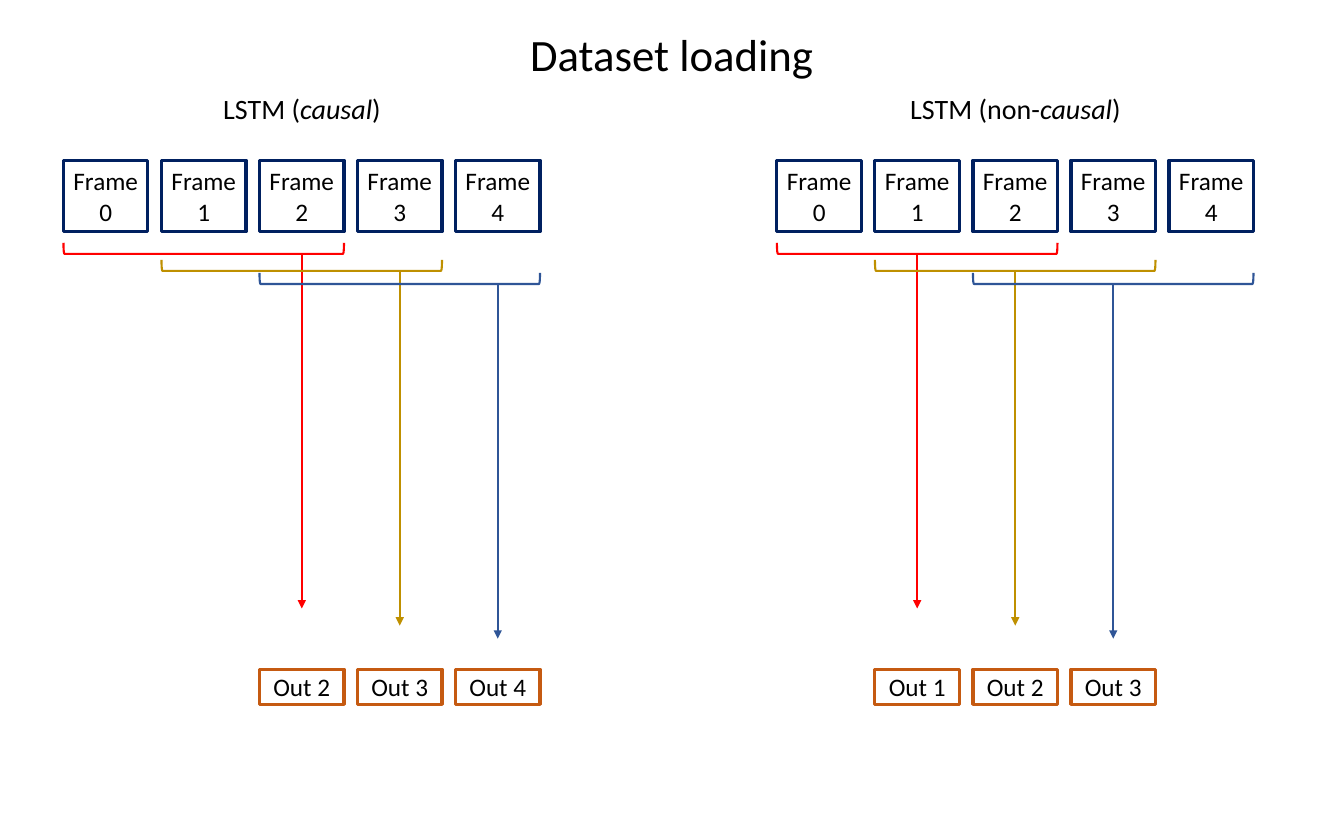
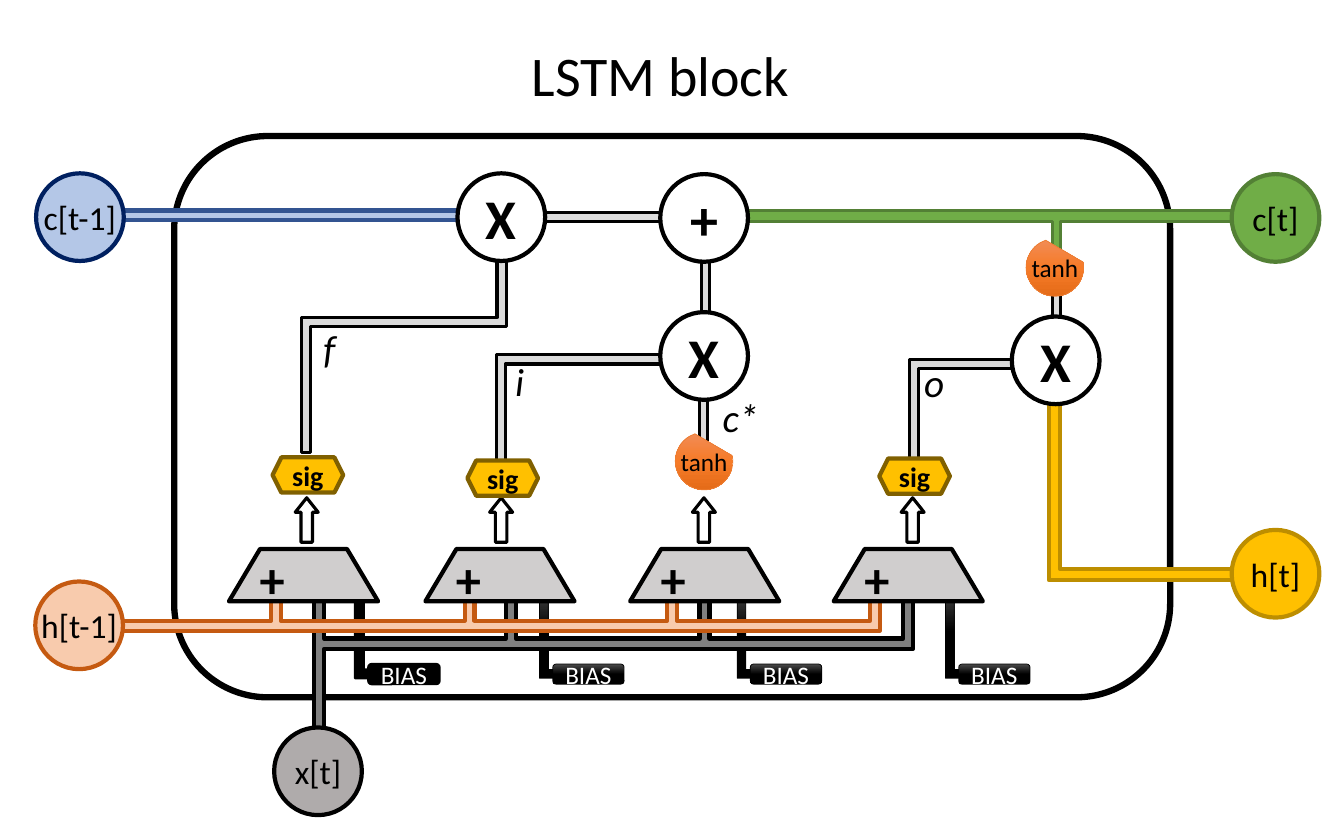
from copy import deepcopy

from lxml.etree import SubElement
from pptx import Presentation
from pptx.dml.color import RGBColor
from pptx.enum.shapes import MSO_CONNECTOR, MSO_SHAPE as Preset
from pptx.enum.text import MSO_ANCHOR, MSO_AUTO_SIZE, PP_ALIGN
from pptx.oxml.ns import qn
from pptx.util import Cm, Pt

FONT = "Calibri"
COLOURS = {
    "black": "000000", "white": "FFFFFF", "navy": "002060", "rust": "C55A11",
    "red": "FF0000", "ochre": "BF9000", "blue": "2F5597",
    "pale blue": "B4C7E7", "dark blue": "325491", "pale orange": "F8CBAD", "orange": "ED7D31",
    "green": "70AD47", "dark green": "538035", "gold": "FFC000", "dark gold": "BD8E00",
    "brown": "806000", "pipe": "DBDBDB", "grey": "808080", "warm grey": "AFABAB",
    "gate": "D0CECE", "charcoal": "4B4B4B",
    "tanh top": "F18C57", "tanh middle": "F67B28", "tanh bottom": "E56C19",
}
BIAS_FILL = ("charcoal", "black", "black")
TANH_FILL = ("tanh top", "tanh middle", "tanh bottom")

# Dataset loading: all lengths in centimetres
LOADERS = [
    # left edge, heading runs (text, italic), first output frame
    (1.6, [("LSTM (", False), ("causal", True), (")", False)], 2),
    (19.58, [("LSTM (non-", False), ("causal", True), (")", False)], 1),
]
WINDOWS = [("red", 6.4), ("ochre", 6.83), ("blue", 7.16)]  # colour, bracket bottom
FRAME_COUNT, WINDOW_FRAMES = 5, 3
FRAME_PITCH, FRAME_WIDTH = 2.47, 2.13
BRACKET_DEPTH, ARROW_LENGTH = 0.28, 8.94

# LSTM block
STRAIGHT_PIPES = [
    # left, top, width, height, fill, line, line width
    (2.82, 5.31, 10.31, 0.23, "pale blue", "dark blue", 3),
    (26.52, 6.68, 0.2, 2.92, "pipe", "black", 2.25),
    (17.68, 6.2, 0.2, 2.39, "pipe", "black", 2.25),
    (12.61, 5.35, 5.13, 0.23, "pipe", "black", 2.25),
    (17.63, 8.79, 0.2, 2.39, "pipe", "black", 2.25),
]
BENT_PIPES = [
    # centre line, thickness, fill, line, line width
    ([(26.58, 8.74), (26.58, 14.49), (32.31, 14.49)], 0.28, "gold", "dark gold", 3),
    ([(23.04, 11.96), (23.04, 9.18), (27, 9.18)], 0.23, "pipe", "black", 2.25),
    ([(12.62, 11.86), (12.62, 9.06), (17.78, 9.06)], 0.23, "pipe", "black", 2.25),
    ([(12.64, 6.58), (12.64, 8.12), (7.72, 8.12), (7.72, 11.4)], 0.23, "pipe", "black", 2.25),
]
BRANCHED_PIPES = [
    # rail (left, top, right, bottom), branches (left, width, tip), fill, line, line width
    ((18.64, 5.31, 32.39, 5.59), [(26.52, 0.2, 6.55)], "green", "dark green", 2.25),
    ((7.92, 16.1, 23.01, 16.36),
     [(left, 0.25, 15.14) for left in (7.92, 12.75, 17.63, 22.76)] + [(7.92, 0.25, 18.9)],
     "grey", "black", 3),
    ((1.96, 15.65, 22.17, 15.9),
     [(left, 0.25, 15.14) for left in (6.83, 11.71, 16.81, 21.92)],
     "pale orange", "rust", 3),
]
GATES = [
    # gate left, bias left, bias fill, bias line width, up arrow left
    (5.77, 8.84, "black", 1.5, 7.44),
    (10.72, 13.49, BIAS_FILL, 0.5, 12.34),
    (15.88, 18.47, BIAS_FILL, 0.5, 17.45),
    (21.01, 23.72, BIAS_FILL, 0.5, 22.71),
]
SIGMOIDS = [(6.87, 11.53), (11.78, 11.61), (22.16, 11.56)]
TANHS = [(17.02, 10.9), (25.86, 6.02)]
STATES = [
    ("h[t-1]", 0.89, 14.66, "pale orange", "rust"),
    ("c[t-1]", 0.91, 4.37, "pale blue", "navy"),
    ("x[t]", 6.91, 18.34, "warm grey", "black"),
    ("c[t]", 31.04, 4.39, "green", "dark green"),
    ("h[t]", 31.04, 13.36, "gold", "dark gold"),
]
OPERATIONS = [("X", 11.53, 4.37), ("X", 16.64, 7.87), ("+", 16.64, 4.39), ("X", 25.5, 7.98)]
SIGNALS = [("f", 7.9, 8.05, 0.81), ("o", 23.04, 8.92, 1.02),
           ("i", 12.73, 8.89, 0.74), ("c*", 17.96, 9.8, 1.42)]
CIRCLE = 2.21


def rgb(name):
    return RGBColor.from_string(COLOURS[name])


def write(text_frame, runs, size, colour="black", bold=False, align=PP_ALIGN.CENTER):
    """Fill the frame with one paragraph of (text, italic) runs."""
    paragraph = text_frame.paragraphs[0]
    paragraph.alignment = align
    for text, italic in runs:
        run = paragraph.add_run()
        run.text = text
        font = run.font
        font.name, font.size, font.bold, font.italic = FONT, Pt(size), bold, italic
        font.color.rgb = rgb(colour)


def paint(shape, fill, line, width):
    """A fill is a colour name, a tuple of three for a gradient downwards, or None."""
    shape.shadow.inherit = False
    if fill is None:
        shape.fill.background()
    elif isinstance(fill, tuple):
        shape.fill.gradient()
        shape.fill.gradient_angle = 270
        stop_list = shape._element.spPr.find(".//" + qn("a:gsLst"))
        stop_list.append(deepcopy(stop_list[0]))
        for index, (stop, name) in enumerate(zip(shape.fill.gradient_stops, fill)):
            stop.position = index / 2
            stop.color.rgb = rgb(name)
    else:
        shape.fill.solid()
        shape.fill.fore_color.rgb = rgb(fill)
    shape.line.color.rgb = rgb(line)
    shape.line.width = Pt(width)


def add_box(slide, preset, box, fill, line, width, adjustments=()):
    shape = slide.shapes.add_shape(preset, *map(Cm, box))
    for index, value in enumerate(adjustments):
        shape.adjustments[index] = value
    paint(shape, fill, line, width)
    return shape


def add_caption(shape, text, size, wrap=False, **style):
    """Centre text in a shape, with no side margins."""
    frame = shape.text_frame
    frame.margin_left = frame.margin_right = 0
    frame.vertical_anchor = MSO_ANCHOR.MIDDLE
    frame.word_wrap = wrap
    write(frame, [(text, False)], size, **style)


def add_text(slide, box, runs, size, wrap=True, align=PP_ALIGN.CENTER):
    frame = slide.shapes.add_textbox(*map(Cm, box)).text_frame
    frame.word_wrap = wrap
    frame.auto_size = MSO_AUTO_SIZE.SHAPE_TO_FIT_TEXT
    write(frame, runs, size, align=align)


def add_slide(presentation, title, box, size):
    slide = presentation.slides.add_slide(presentation.slide_layouts[6])
    add_text(slide, box, [(title, False)], size)
    return slide


def add_arrow(slide, x, top, bottom, colour):
    arrow = slide.shapes.add_connector(MSO_CONNECTOR.STRAIGHT, Cm(x), Cm(top), Cm(x), Cm(bottom))
    arrow.line.color.rgb = rgb(colour)
    arrow.line.width = Pt(1.5)
    SubElement(arrow.line._get_or_add_ln(), qn("a:tailEnd"), type="triangle")
    SubElement(arrow._element.spPr, qn("a:effectLst"))


def add_outline(slide, points, fill, line, width):
    corners = [(Cm(x), Cm(y)) for x, y in points]
    builder = slide.shapes.build_freeform(*corners[0], scale=1.0)
    builder.add_line_segments(corners[1:], close=True)
    paint(builder.convert_to_shape(), fill, line, width)


def bent_outline(centre, thickness):
    """Outline of a pipe that follows a centre line with right-angled bends."""
    normals = []
    for (x1, y1), (x2, y2) in zip(centre, centre[1:]):
        length = abs(x2 - x1) + abs(y2 - y1)
        normals.append(((y1 - y2) / length, (x2 - x1) / length))
    joints = [normals[0]]
    joints += [(a[0] + b[0], a[1] + b[1]) for a, b in zip(normals, normals[1:])]
    joints.append(normals[-1])
    half = thickness / 2
    sides = [[(x + sign * half * dx, y + sign * half * dy)
              for (x, y), (dx, dy) in zip(centre, joints)] for sign in (1, -1)]
    return sides[0] + sides[1][::-1]


def branched_outline(rail, branches):
    """Outline of a horizontal rail with branches up or down."""
    left, top, right, bottom = rail
    upper, lower = [(left, top)], [(left, bottom)]
    for start, width, tip in branches:
        side, edge = (upper, top) if tip < top else (lower, bottom)
        end = start + width
        side += [(start, edge), (start, tip), (end, tip), (end, edge)]
    points = upper + [(right, top), (right, bottom)] + lower[::-1]
    return [point for point, before in zip(points, [None] + points) if point != before]


def draw_loader(slide, left, heading, first_output):
    add_text(slide, (left + 3.1, 2.18, 5.82, 1.12), heading, 20)
    columns = [left + index * FRAME_PITCH for index in range(FRAME_COUNT)]
    for index, x in enumerate(columns):
        frame = add_box(slide, Preset.RECTANGLE, (x, 4.04, FRAME_WIDTH, 1.8), None, "navy", 2.25)
        add_caption(frame, f"Frame {index}", 18, wrap=True)
        frame.text_frame.margin_left = frame.text_frame.margin_right = Cm(0.1)
    span = (WINDOW_FRAMES - 1) * FRAME_PITCH + FRAME_WIDTH
    for index, (colour, bottom) in enumerate(WINDOWS):
        output = first_output + index
        x = columns[output]
        box = add_box(slide, Preset.RECTANGLE, (x, 16.87, FRAME_WIDTH, 0.89), None, "rust", 2.25)
        add_caption(box, f"Out {output}", 18)
        bracket_left = columns[index] + (span - BRACKET_DEPTH) / 2
        bracket_top = bottom - (span + BRACKET_DEPTH) / 2
        bracket = add_box(slide, Preset.LEFT_BRACKET,
                          (bracket_left, bracket_top, BRACKET_DEPTH, span), None, colour, 1.5)
        bracket.rotation = 270
        add_arrow(slide, x + FRAME_WIDTH / 2, bottom, bottom + ARROW_LENGTH, colour)


def draw_bias(slide, left, fill, width):
    elbow = add_box(slide, Preset.BENT_UP_ARROW, (left, 14.76, 1.04, 2.34), fill, "black", width,
                    (0.212, 0.21, 0.241))
    elbow._element.spPr.find(qn("a:xfrm")).set("flipH", "1")
    label = add_box(slide, Preset.ROUNDED_RECTANGLE, (left + 0.44, 16.74, 1.8, 0.51),
                    fill, "black", width)
    add_caption(label, "BIAS", 18, colour="white")


def draw_block(slide):
    add_box(slide, Preset.ROUNDED_RECTANGLE, (4.39, 3.43, 25.1, 14.15), None, "black", 4.5)
    for _, bias_left, fill, width, _ in GATES:
        draw_bias(slide, bias_left, fill, width)
    for *box, fill, line, width in STRAIGHT_PIPES:
        add_box(slide, Preset.RECTANGLE, box, fill, line, width)
    for centre, thickness, *style in BENT_PIPES:
        add_outline(slide, bent_outline(centre, thickness), *style)
    for rail, branches, *style in BRANCHED_PIPES:
        add_outline(slide, branched_outline(rail, branches), *style)

    for gate_left, _, _, _, arrow_left in GATES:
        add_box(slide, Preset.UP_ARROW, (arrow_left, 12.55, 0.58, 1.12), None, "black", 2.25,
                (0.5, 0.631))
        gate = add_box(slide, Preset.TRAPEZOID, (gate_left, 13.84, 3.76, 1.32), "gate", "black", 3,
                       (0.594,))
        write(gate.text_frame, [("+", False)], 36, bold=True, align=PP_ALIGN.LEFT)
    for left, top in SIGMOIDS:
        sigmoid = add_box(slide, Preset.HEXAGON, (left, top, 1.78, 0.89), "gold", "brown", 3)
        add_caption(sigmoid, "sig", 20, bold=True)
    for left, top in TANHS:
        tanh = add_box(slide, Preset.CHORD, (left, top, 1.45, 1.45), TANH_FILL, "orange", 0.5,
                       (209.62, 150.87))
        add_caption(tanh, "tanh", 18)
    for text, left, top, fill, line in STATES:
        state = add_box(slide, Preset.OVAL, (left, top, CIRCLE, CIRCLE), fill, line, 3)
        add_caption(state, text, 24)
    for text, left, top in OPERATIONS:
        operation = add_box(slide, Preset.OVAL, (left, top, CIRCLE, CIRCLE), "white", "black", 3)
        add_caption(operation, text, 40, bold=True)
    for text, left, top, width in SIGNALS:
        add_text(slide, (left, top, width, 1.45), [(text, True)], 28, wrap=False,
                 align=PP_ALIGN.LEFT)


def main():
    presentation = Presentation()
    presentation.slide_width, presentation.slide_height = Cm(33.87), Cm(21)
    loading = add_slide(presentation, "Dataset loading", (6.53, 0.56, 20.8, 1.63), 32)
    for loader in LOADERS:
        draw_loader(loading, *loader)
    draw_block(add_slide(presentation, "LSTM block", (11.71, 0.91, 9.86, 1.96), 40))
    presentation.save("out.pptx")


if __name__ == "__main__":
    main()
